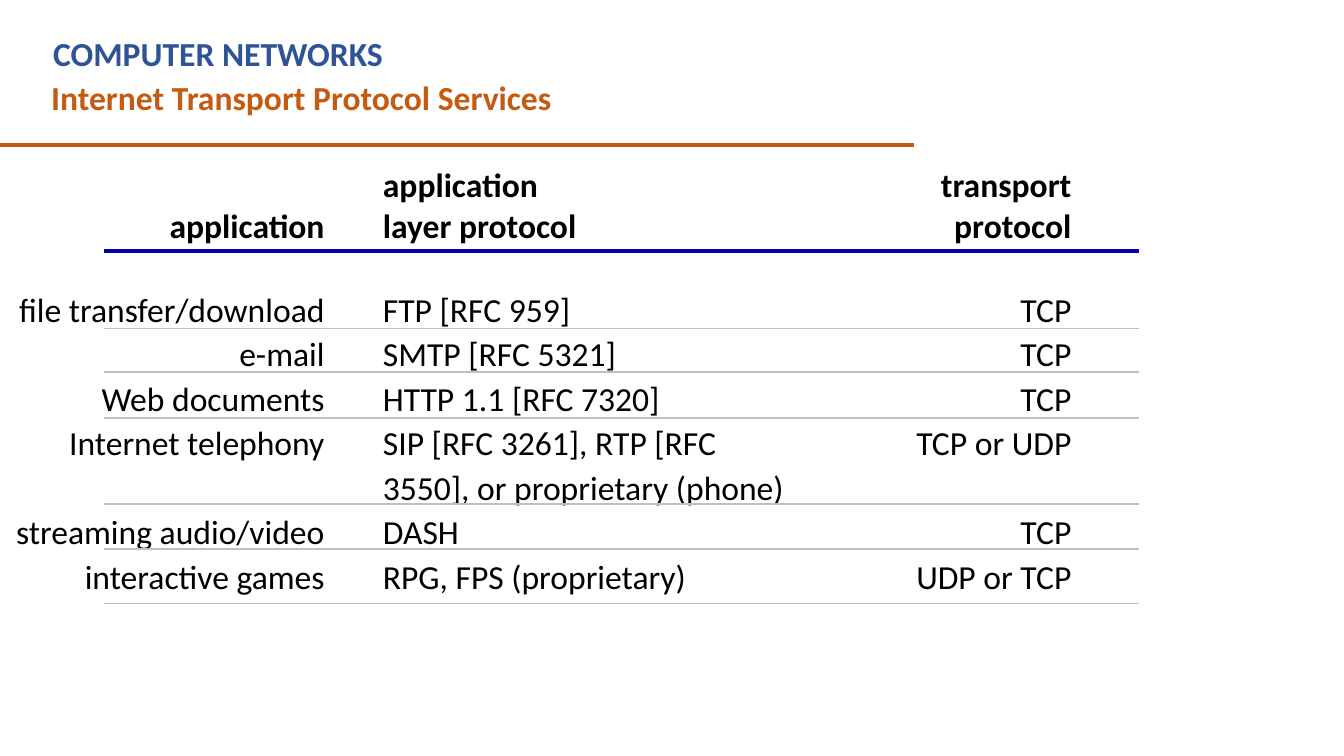
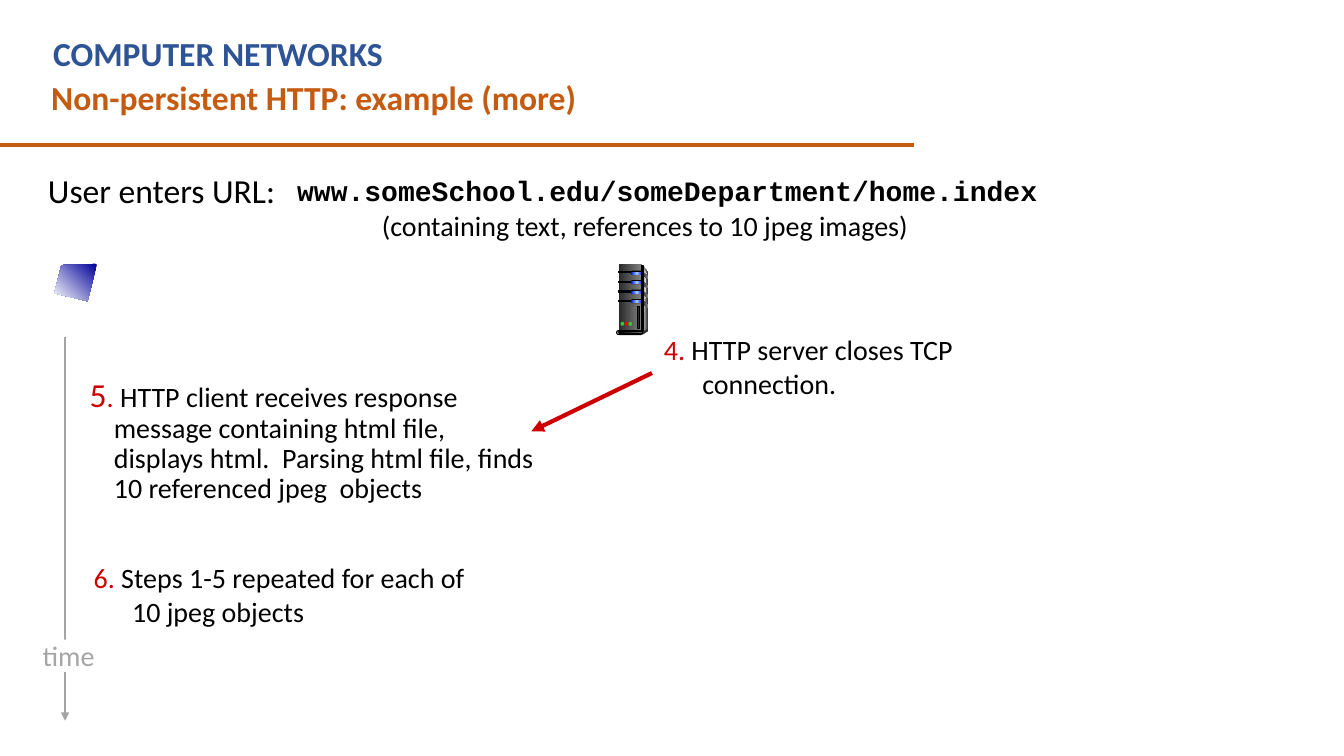
"""Build two computer networks slides: transport services and an HTTP example."""
from dataclasses import dataclass

from lxml.etree import SubElement
from pptx import Presentation
from pptx.dml.color import RGBColor
from pptx.enum.shapes import MSO_CONNECTOR as CONN, MSO_SHAPE as SHAPE
from pptx.enum.text import MSO_ANCHOR as ANCHOR, PP_ALIGN as ALIGN
from pptx.oxml.ns import qn
from pptx.util import Cm, Pt


@dataclass(frozen=True)
class Theme:
    """Colours, fonts and sizes shared by the slides."""
    font: str = "Calibri"
    mono: str = "Courier New"
    big: int = 24
    small: int = 20
    row_pitch: float = 31.6
    blue: str = "2F5496"
    orange: str = "C55A11"
    navy: str = "0000A8"
    rule: str = "BFBFBF"
    red: str = "CC0000"
    grey: str = "A5A5A5"
    black: str = "000000"
    white: str = "FFFFFF"
    screen: tuple = ("000099", "FFFFFF")
    metal: tuple = ("292929", "808080")
    panel: tuple = ("DDDDDD", "333333")
    edge: tuple = ("808080", "F8F8F8")
    pillar: tuple = ("333333", "DDDDDD", "333333")
    light: tuple = ("0000FF", "99CCFF", "0000FF")
    base: tuple = ("000000", "808080")
    foot: str = "DDDDDD"
    shade: str = "333333"
    leds: tuple = ("33CC33", "FF0000", "33CC33")


T = Theme()

HEADERS = ("application", "application\nlayer protocol", "transport protocol")
SERVICES = (
    ("file transfer/download", "FTP [RFC 959]", "TCP"),
    ("e-mail", "SMTP [RFC 5321]", "TCP"),
    ("Web documents", "HTTP 1.1 [RFC 7320]", "TCP"),
    ("Internet telephony",
     "SIP [RFC 3261], RTP [RFC 3550], or proprietary (phone)", "TCP or UDP"),
    ("streaming audio/video", "DASH", "TCP"),
    ("interactive games", "RPG, FPS (proprietary)", "UDP or TCP"),
)


def add_run(p, text, size=T.big, color=T.black, bold=False, font=T.font):
    """Append one styled run to a paragraph."""
    r = p.add_run()
    r.text = text
    r.font.size, r.font.bold, r.font.name = Pt(size), bold, font
    r.font.color.rgb = RGBColor.from_string(color)


def add_text(slide, box, runs, align=ALIGN.LEFT, spacing=1.0, hang=None):
    """Add a wrapped one-paragraph text box with an optional hanging indent."""
    tf = slide.shapes.add_textbox(*map(Cm, box)).text_frame
    tf.word_wrap = True
    p = tf.paragraphs[0]
    p.alignment, p.line_spacing = align, spacing
    if hang:
        left, first = hang
        pPr = p._p.get_or_add_pPr()
        pPr.set("marL", str(Cm(left)))
        pPr.set("indent", str(Cm(first)))
    for text, style in runs:
        add_run(p, text, **style)


def add_line(slide, start, end, color, width, arrow=False):
    """Draw a straight line, optionally with an arrowhead at its end."""
    c = slide.shapes.add_connector(CONN.STRAIGHT, *map(Cm, start + end))
    c.line.color.rgb = RGBColor.from_string(color)
    c.line.width = Pt(width)
    if arrow:
        SubElement(c.line._get_or_add_ln(), qn("a:tailEnd"), type="triangle")
    SubElement(c._element.spPr, qn("a:effectLst"))


def paint(sp, fill, line=None, angle=0):
    """Fill a shape with a colour or a tuple of gradient colours."""
    sp.shadow.inherit = False
    if isinstance(fill, str):
        sp.fill.solid()
        sp.fill.fore_color.rgb = RGBColor.from_string(fill)
    else:
        sp.fill.gradient()
        grad = sp._element.spPr.find(qn("a:gradFill"))
        stops = grad.find(qn("a:gsLst"))
        for gs in list(stops):
            stops.remove(gs)
        for i, color in enumerate(fill):
            pos = str(100000 * i // (len(fill) - 1))
            gs = SubElement(stops, qn("a:gs"), pos=pos)
            SubElement(gs, qn("a:srgbClr"), val=color)
        grad.find(qn("a:lin")).set("ang", str(angle * 60000))
    if line:
        sp.line.color.rgb = RGBColor.from_string(line)
        sp.line.width = Pt(0.75)
    else:
        sp.line.fill.background()


def add_polygon(shapes, origin, points, fill, angle=0):
    """Draw a closed outline whose points are relative to the origin."""
    pts = [(Cm(origin[0] + x), Cm(origin[1] + y)) for x, y in points]
    fb = shapes.build_freeform(*pts[0])
    fb.add_line_segments(pts[1:], close=True)
    paint(fb.convert_to_shape(), fill, angle=angle)


def add_preset(shapes, origin, kind, box, fill, line=None):
    """Draw a preset shape in a box relative to the origin."""
    x, y, w, h = box
    sp = shapes.add_shape(kind, Cm(origin[0] + x), Cm(origin[1] + y),
                          Cm(w), Cm(h))
    if kind == SHAPE.ROUNDED_RECTANGLE:
        sp.adjustments[0] = 0.5
    paint(sp, fill, line)


def add_server(slide, at):
    """Draw a server tower as one group with its top left corner at a point."""
    shapes = slide.shapes.add_group_shape().shapes
    rect, pill, dot = SHAPE.RECTANGLE, SHAPE.ROUNDED_RECTANGLE, SHAPE.OVAL
    add_polygon(shapes, at, [(.66, .03), (.79, .23), (.79, 1.63), (.64, 1.7)],
                T.panel)
    add_preset(shapes, at, rect, (.05, 0, .58, 1.7), T.metal)
    add_polygon(shapes, at, [(.66, .13), (.76, .25), (.66, 1.65)], T.edge)
    for i in range(4):
        y = .2 + .24 * i
        add_polygon(shapes, at, [(.65, y), (.79, y + .11), (.79, y + .18),
                                 (.65, y + .08)], T.metal)
        add_preset(shapes, at, rect, (.05, y, .33, .03), T.black, T.black)
        add_preset(shapes, at, pill, (.35, y - .03, .33, .1), T.black)
        add_preset(shapes, at, pill, (.36, y, .3, .07), T.light)
    add_preset(shapes, at, rect, (.64, .03, .03, 1.7), T.pillar, T.black)
    add_polygon(shapes, at, [(.66, 1.7), (.66, 1.78), (.79, 1.7), (.79, 1.63)],
                T.shade)
    add_preset(shapes, at, pill, (0, 1.68, .66, .1), T.foot, T.black)
    add_preset(shapes, at, pill, (.05, 1.7, .6, .05), T.base, T.black)
    for i, color in enumerate(T.leds):
        add_preset(shapes, at, dot, (.1 + .1 * i, 1.46, .09, .1), color)
    add_preset(shapes, at, rect, (.53, 1.07, .05, .56), T.metal[0], T.black)


def add_slide(prs, title):
    """Add a blank slide with the course name, title and rule."""
    slide = prs.slides.add_slide(prs.slide_layouts[6])
    add_line(slide, (0, 3.66), (23.04, 3.66), T.orange, 3)
    add_text(slide, (1.09, .71, 20.83, 1.27),
             [("COMPUTER NETWORKS", dict(color=T.blue, bold=True))])
    add_text(slide, (1.04, 1.82, 22.23, 1.27),
             [(title, dict(color=T.orange, bold=True))])
    return slide


def add_services_table(slide, left, top):
    """Place the borderless table of applications and protocols."""
    widths = (9.4, 11.18, 6.67)
    margins = ((0, 1.22), (.25, .25), (1.07, .25))
    heights = [3.23] + [1.12] * len(SERVICES)
    heights[4] *= 2
    table = slide.shapes.add_table(
        len(heights), len(widths), Cm(left), Cm(top),
        Cm(sum(widths)), Cm(sum(heights))).table
    table.first_row = table.horz_banding = False
    for col, width in zip(table.columns, widths):
        col.width = Cm(width)
    for i, (height, texts) in enumerate(zip(heights, (HEADERS, *SERVICES))):
        table.rows[i].height = Cm(height)
        for j, text in enumerate(texts):
            cell = table.cell(i, j)
            cell.fill.background()
            cell.margin_left, cell.margin_right = map(Cm, margins[j])
            cell.margin_top = 0
            cell.margin_bottom = Cm(0 if i else 1)
            cell.vertical_anchor = ANCHOR.TOP if i else ANCHOR.BOTTOM
            tf = cell.text_frame
            for k, part in enumerate(text.split("\n")):
                p = tf.add_paragraph() if k else tf.paragraphs[0]
                p.alignment = ALIGN.LEFT if j == 1 else ALIGN.RIGHT
                if i:
                    p.line_spacing = Pt(T.row_pitch)
                add_run(p, part, bold=i == 0)


def services_slide(prs):
    """Build the slide on transport protocol services."""
    slide = add_slide(prs, "Internet Transport Protocol Services")
    add_services_table(slide, 0, 4.01)
    add_line(slide, (2.62, 6.32), (28.7, 6.32), T.navy, 2.5)
    for y in (8.28, 9.37, 10.54, 12.7, 13.84, 15.21):
        add_line(slide, (2.62, y), (28.7, y), T.rule, 1.25)


def add_step(slide, box, number, text, number_size=T.small, **layout):
    """Place a numbered step with a red number."""
    add_text(slide, box, [
        (number, dict(size=number_size, color=T.red)),
        (".", dict(size=T.small, color=T.red)),
        (" " + text, dict(size=T.small))], **layout)


def add_timeline(slide, x, top, bottom):
    """Draw the time arrow with its label."""
    add_line(slide, (x, top), (x, bottom), T.grey, 1.5, arrow=True)
    sp = slide.shapes.add_shape(SHAPE.RECTANGLE, Cm(x - .86), Cm(bottom - 2.04),
                                Cm(1.9), Cm(.81))
    paint(sp, T.white)
    tf = sp.text_frame
    tf.margin_left = tf.margin_right = tf.margin_top = tf.margin_bottom = 0
    tf.vertical_anchor = ANCHOR.MIDDLE
    tf.paragraphs[0].alignment = ALIGN.CENTER
    add_run(tf.paragraphs[0], "time", T.small, T.grey)


def example_slide(prs):
    """Build the slide on the non-persistent HTTP example."""
    slide = add_slide(prs, "Non-persistent HTTP: example (more)")
    narrow, wide = (.99, -.61), (.97, -.97)
    add_text(slide, (.58, 4.27, 22.07, 1.3), [("User enters URL:", {})],
             spacing=.9, hang=narrow)
    add_text(slide, (7.39, 5.13, 17.73, 1.12),
             [("(containing text, references to 10 jpeg images)",
               dict(size=T.small))], align=ALIGN.CENTER)
    add_text(slide, (7.24, 4.37, 22.07, 1.3),
             [("www.someSchool.edu/someDepartment/home.index",
               dict(size=T.small, bold=True, font=T.mono))],
             spacing=.85, hang=wide)
    add_polygon(slide.shapes, (1.37, 6.65),
                [(1.07, 0), (.18, .03), (0, .74), (.84, .94)], T.screen, 135)
    add_server(slide, (15.54, 6.65))
    add_step(slide, (1.63, 9.4, 12.14, 5.59), "5",
             "HTTP client receives response message containing html file, "
             "displays html.  Parsing html file, finds 10 referenced "
             "jpeg  objects", T.big, spacing=.9, hang=narrow)
    add_step(slide, (2.11, 14, 10.59, 1.85), "6",
             "Steps 1-5 repeated for each of 10 jpeg objects", hang=wide)
    add_step(slide, (16.48, 8.26, 10.59, 2.03), "4",
             "HTTP server closes TCP connection.", hang=wide)
    add_line(slide, (16.43, 9.4), (13.39, 10.87), T.red, 3, arrow=True)
    add_timeline(slide, 1.64, 8.48, 18.16)


def main():
    """Build and save the presentation."""
    prs = Presentation()
    prs.slide_width, prs.slide_height = Cm(33.87), Cm(19.05)
    services_slide(prs)
    example_slide(prs)
    prs.save("out.pptx")


if __name__ == "__main__":
    main()
